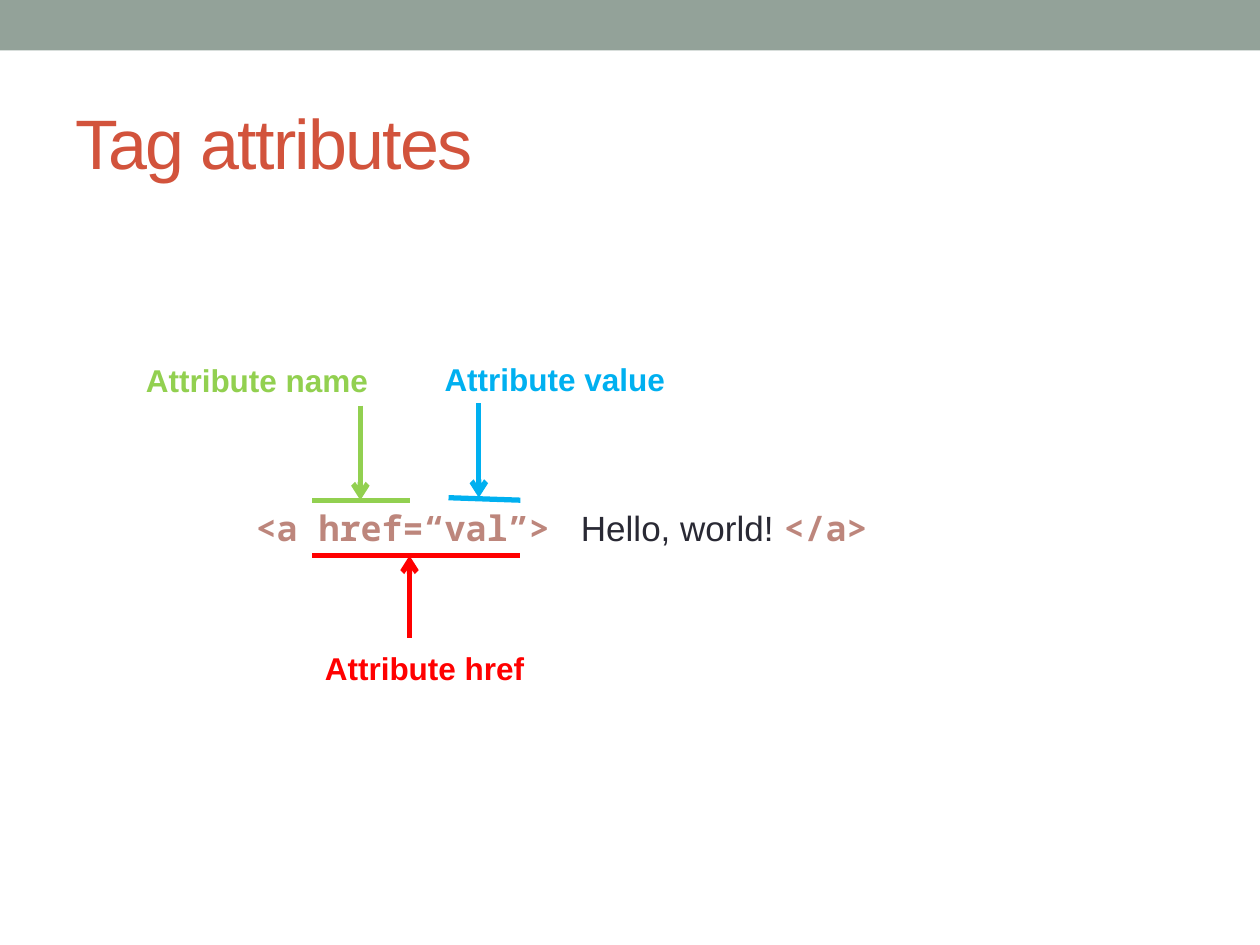
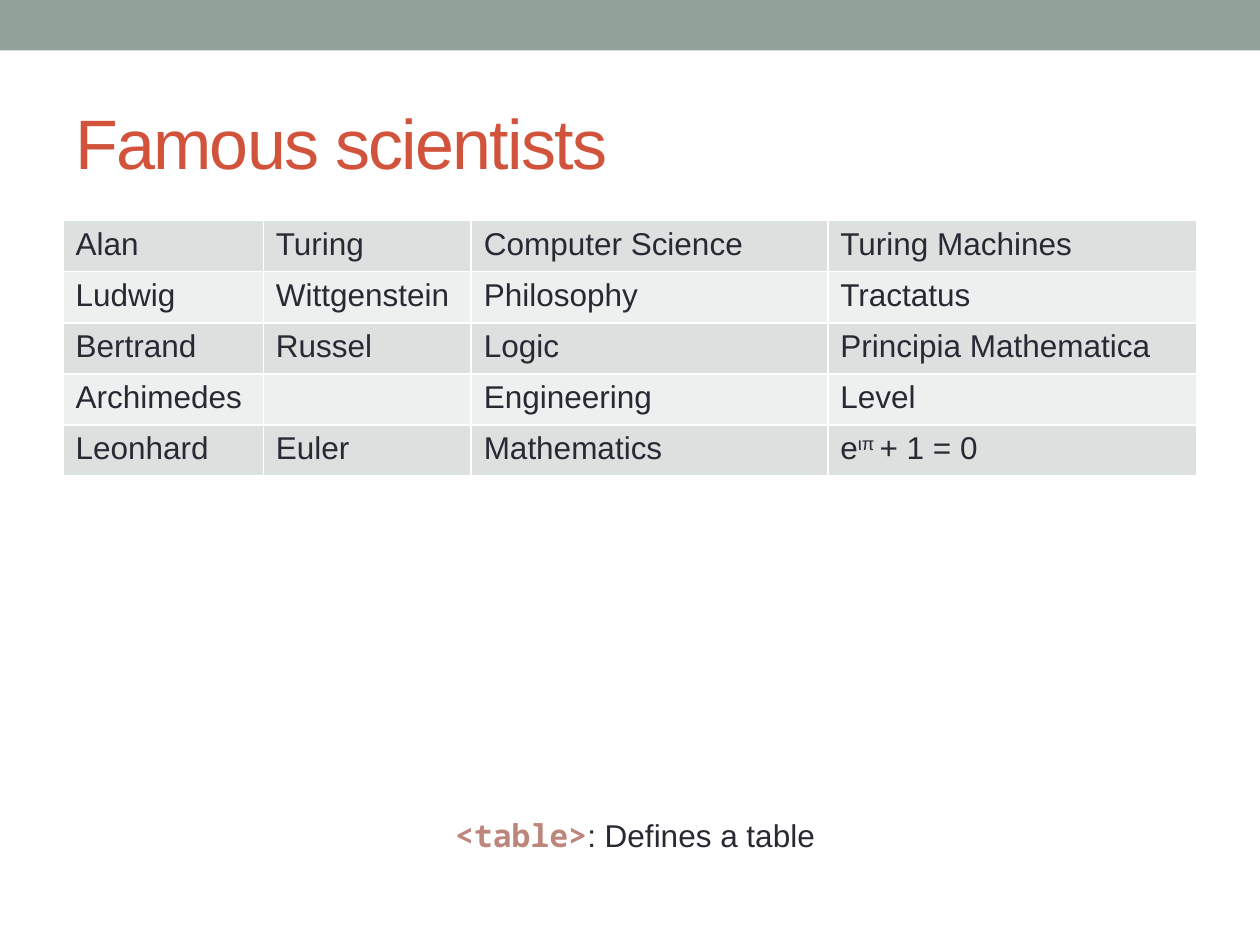
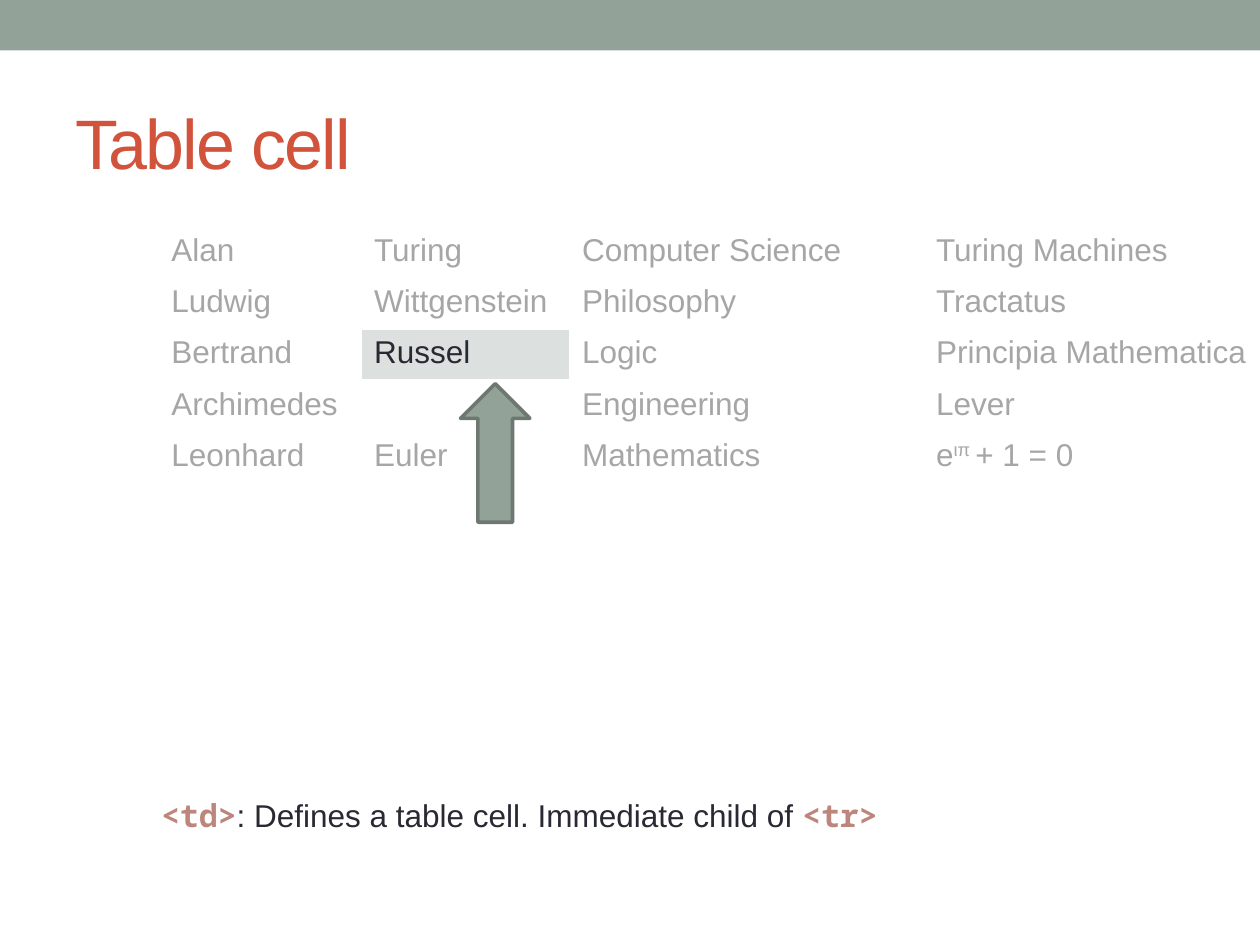
from dataclasses import dataclass

from lxml import etree
from pptx import Presentation
from pptx.dml.color import RGBColor
from pptx.enum.shapes import MSO_CONNECTOR, MSO_SHAPE
from pptx.enum.text import MSO_ANCHOR, PP_ALIGN
from pptx.oxml.ns import qn
from pptx.util import Inches, Pt

STRAIGHT = MSO_CONNECTOR.STRAIGHT
RECT, RIGHT_ARROW = MSO_SHAPE.RECTANGLE, MSO_SHAPE.RIGHT_ARROW
TOP, MIDDLE = MSO_ANCHOR.TOP, MSO_ANCHOR.MIDDLE
LEFT, CENTER = PP_ALIGN.LEFT, PP_ALIGN.CENTER


@dataclass(frozen=True)
class Theme:
    font: str = "Arial"
    mono: str = "Noto Sans Mono"
    title_size: int = 40
    code_size: int = 20
    body_size: int = 18
    line_width: int = 3
    white: str = "FFFFFF"
    text: str = "292934"
    title: str = "D2533C"
    tag: str = "BD867C"
    muted: str = "A6A6A6"
    band: str = "93A299"
    band_edge: str = "6D7871"
    row_dark: str = "DCE0DE"
    row_light: str = "EEF0EF"
    red: str = "FF0000"
    green: str = "92D050"
    blue: str = "00B0F0"


THEME = Theme()


def rgb(value):
    return RGBColor.from_string(value)


def add_run(p, text, size=THEME.body_size, font=THEME.font, color=THEME.text,
            bold=False, spacing=None, baseline=None):
    """Spacing is in points, baseline in percent."""
    r = p.add_run()
    r.text = text
    r.font.size, r.font.name, r.font.bold = Pt(size), font, bold
    r.font.color.rgb = rgb(color)
    props = r.font._element
    if spacing is not None:
        props.set("spc", str(spacing * 100))
    if baseline is not None:
        props.set("baseline", str(baseline * 1000))


def tag(text, **fmt):
    """A run of markup: bold, monospaced, in the tag colour."""
    return text, dict(font=THEME.mono, color=THEME.tag, bold=True, **fmt)


def plain(text, **fmt):
    return text, fmt


class Deck:
    def __init__(self, theme):
        self.theme = theme
        self.prs = Presentation()
        self.prs.slide_width, self.prs.slide_height = Inches(10), Inches(7.5)
        self.slide = None

    def new_slide(self, title):
        t = self.theme
        self.slide = self.prs.slides.add_slide(self.prs.slide_layouts[6])
        self.shape(RECT, 0, 0, 10, 0.4, t.band)
        run = plain(title, size=t.title_size, color=t.title, spacing=-1)
        self.text([run], 0.5, 0.58, 9, 1.08, anchor=MIDDLE)

    def shape(self, kind, x, y, w, h, fill, edge=None, edge_width=1, rotation=0):
        sp = self.slide.shapes.add_shape(kind, Inches(x), Inches(y), Inches(w), Inches(h))
        sp.shadow.inherit = False
        sp.rotation = rotation
        sp.fill.solid()
        sp.fill.fore_color.rgb = rgb(fill)
        if edge:
            sp.line.color.rgb = rgb(edge)
            sp.line.width = Pt(edge_width)
        else:
            sp.line.fill.background()

    def text(self, runs, x, y, w, h=0.4, align=LEFT, anchor=TOP, wrap=True):
        sp = self.slide.shapes.add_textbox(Inches(x), Inches(y), Inches(w), Inches(h))
        tf = sp.text_frame
        tf.word_wrap, tf.vertical_anchor = wrap, anchor
        p = tf.paragraphs[0]
        p.alignment = align
        for text, fmt in runs:
            add_run(p, text, **fmt)

    def label(self, text, x, y, w, color):
        self.text([plain(text, color=color, bold=True)], x, y, w)

    def line(self, start, end, color, arrow=False):
        points = [Inches(v) for v in (*start, *end)]
        cn = self.slide.shapes.add_connector(STRAIGHT, *points)
        cn.line.color.rgb = rgb(color)
        cn.line.width = Pt(self.theme.line_width)
        if arrow:
            etree.SubElement(cn.line._get_or_add_ln(), qn("a:tailEnd"), type="arrow")
        etree.SubElement(cn._element.spPr, qn("a:effectLst"))

    def table(self, rows, x, y, widths, row_height, cell_style):
        """cell_style(row, column) gives the fill and the text colour."""
        frame = self.slide.shapes.add_table(
            len(rows), len(widths), Inches(x), Inches(y),
            Inches(sum(widths)), Inches(row_height * len(rows)))
        table = frame.table
        for column, width in zip(table.columns, widths):
            column.width = Inches(width)
        for i, row in enumerate(rows):
            for j, runs in enumerate(row):
                cell = table.cell(i, j)
                fill, color = cell_style(i, j)
                self.borders(cell)
                cell.fill.solid()
                cell.fill.fore_color.rgb = rgb(fill)
                p = cell.text_frame.paragraphs[0]
                p.font.size = Pt(self.theme.body_size)
                for text, fmt in runs:
                    add_run(p, text, color=color, **fmt)

    def borders(self, cell):
        props = cell._tc.get_or_add_tcPr()
        for side in ("lnL", "lnR", "lnT", "lnB"):
            ln = etree.SubElement(props, qn(f"a:{side}"), w=str(Pt(1)))
            fill = etree.SubElement(ln, qn("a:solidFill"))
            etree.SubElement(fill, qn("a:srgbClr"), val=self.theme.white)


def scientists(archimedes_work):
    names = [
        ("Alan", "Turing", "Computer Science", "Turing Machines"),
        ("Ludwig", "Wittgenstein", "Philosophy", "Tractatus"),
        ("Bertrand", "Russel", "Logic", "Principia Mathematica"),
        ("Archimedes", "", "Engineering", archimedes_work),
        ("Leonhard", "Euler", "Mathematics"),
    ]
    rows = [[[plain(text)] if text else [] for text in row] for row in names]
    rows[-1].append([plain("e"), plain("ιπ ", baseline=30), plain("+ 1 = 0")])
    return rows


def attributes_slide(deck):
    t = deck.theme
    deck.new_slide("Tag attributes")
    size = t.code_size
    deck.text([tag("<a href=“val”> ", size=size), plain(" Hello, world! ", size=size),
               tag("</a>", size=size)], 1.93, 3.97, 6.29, 1.11)

    deck.line((3.25, 5.06), (3.25, 4.41), t.red, arrow=True)
    deck.label("Attribute href", 2.48, 5.1, 1.89, t.red)
    deck.line((2.48, 4.41), (4.13, 4.41), t.red)

    deck.line((2.48, 3.97), (3.25, 3.97), t.green)
    deck.line((2.86, 3.22), (2.86, 3.97), t.green, arrow=True)
    deck.label("Attribute name", 1.06, 2.82, 2.36, t.green)

    deck.line((3.56, 3.95), (4.13, 3.97), t.blue)
    deck.line((3.8, 3.2), (3.8, 3.95), t.blue, arrow=True)
    deck.label("Attribute value", 3.43, 2.81, 2.36, t.blue)


def scientists_slide(deck):
    t = deck.theme

    def banded(row, column):
        return (t.row_light if row % 2 else t.row_dark), t.text

    deck.new_slide("Famous scientists")
    deck.table(scientists("Level"), 0.5, 1.75, (1.59, 1.65, 2.83, 2.93), 0.406, banded)
    deck.text([tag("<table>"), plain(": Defines a table")], 0.51, 6.43, 9.06, align=CENTER)


def cell_slide(deck):
    t = deck.theme
    russel = (2, 1)

    def highlighted(row, column):
        return (t.row_dark, t.text) if (row, column) == russel else (t.white, t.muted)

    deck.new_slide("Table cell")
    deck.table(scientists("Lever"), 1.26, 1.8, (1.61, 1.65, 2.81, 2.67), 0.406, highlighted)
    deck.shape(RIGHT_ARROW, 3.38, 3.32, 1.1, 0.55, t.band,
               edge=t.band_edge, edge_width=2.08, rotation=270)
    deck.text([tag("<td>"), plain(": Defines a table cell. Immediate child of "), tag("<tr>")],
              1.18, 6.27, 5.95, wrap=False)


def main():
    deck = Deck(THEME)
    attributes_slide(deck)
    scientists_slide(deck)
    cell_slide(deck)
    deck.prs.save("out.pptx")


if __name__ == "__main__":
    main()
